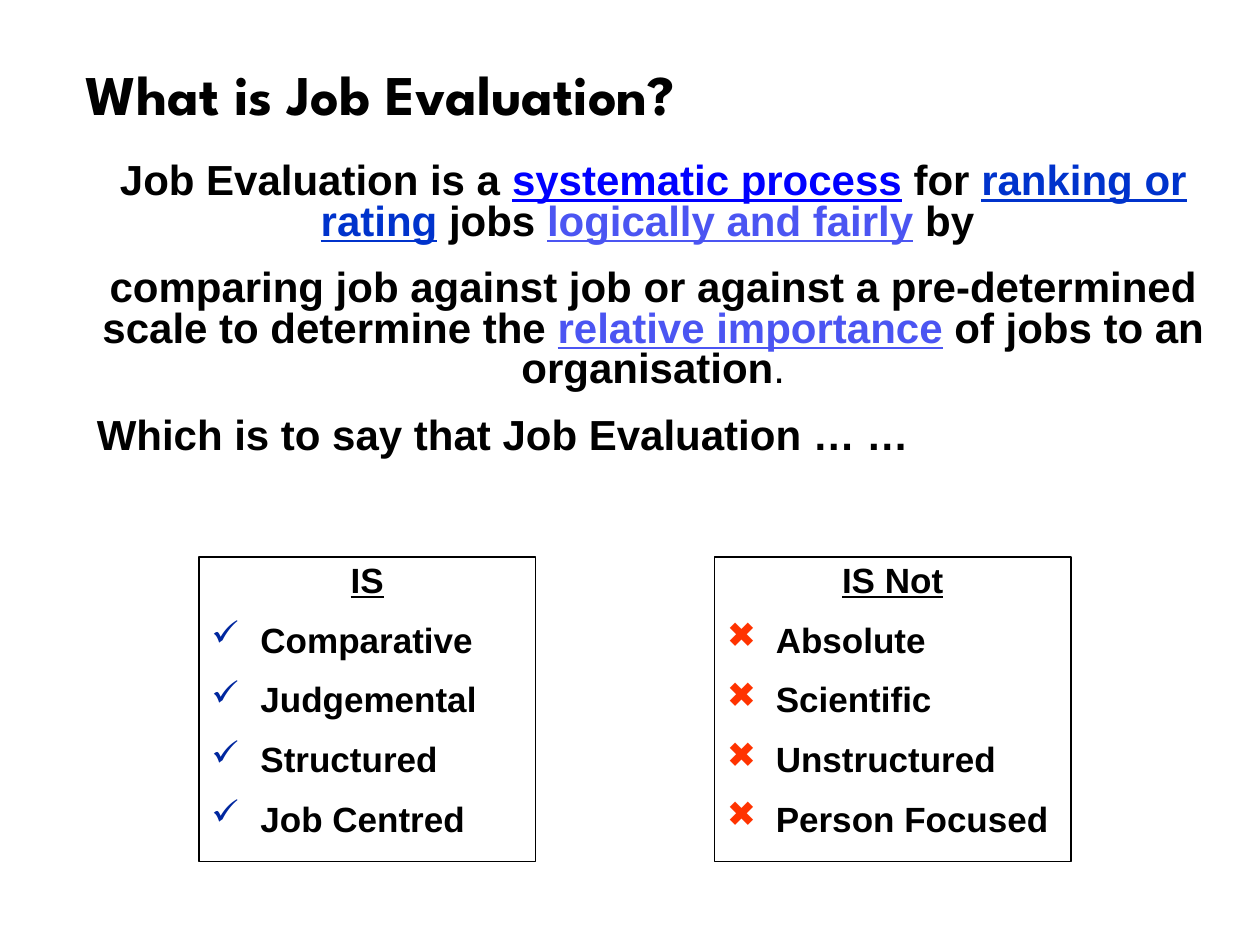
from lxml.etree import SubElement
from pptx import Presentation
from pptx.dml.color import RGBColor
from pptx.enum.shapes import MSO_SHAPE as Shape
from pptx.enum.text import MSO_ANCHOR as Anchor, PP_ALIGN as Align
from pptx.oxml.ns import qn
from pptx.util import Pt

BLACK = "000000"
BLUE, ROYAL, VIOLET = "0000FF", "0033CC", "4B55F2"
STATEMENT = [
    (Align.CENTER, [
        ("Job Evaluation is a ", {}),
        ("systematic process", {"color": BLUE, "underline": True}),
        (" for ", {}),
        ("ranking or rating", {"color": ROYAL, "underline": True}),
        (" jobs ", {}),
        ("logically and fairly", {"color": VIOLET, "underline": True}),
        (" by ", {}),
    ]),
    (Align.CENTER, [
        ("comparing job against job or against a pre-determined scale to determine the ", {}),
        ("relative importance", {"color": VIOLET, "underline": True}),
        (" of jobs to an organisation", {}),
        (".", {"bold": False}),
    ]),
    (Align.LEFT, [("Which is to say that Job Evaluation … …", {})]),
]
LISTS = [
    ((113.76, 318.24, 192.24, 174.24), "IS", "✓", "00279F",
     ["Comparative", "Judgemental", "Structured", "Job Centred"]),
    ((408.24, 318.24, 203.76, 174.24), "IS Not", "✖", "FF3300",
     ["Absolute", "Scientific", "Unstructured", "Person Focused"]),
]


def rgb(value):
    """Turn a hex string into a colour."""
    return RGBColor.from_string(value)


def add_span(para, text, size, name="Arial", color=BLACK, **extra):
    """Append formatted text to a paragraph."""
    span = para.add_run()
    span.text = text
    formats = {"size": Pt(size), "name": name, "bold": True, **extra}
    for key, value in formats.items():
        setattr(span.font, key, value)
    span.font.color.rgb = rgb(color)


def next_para(frame, spacing, gap=0, align=Align.LEFT):
    """Return the first empty paragraph, or add one with a gap above."""
    first = not frame.paragraphs[0].runs
    para = frame.paragraphs[0] if first else frame.add_paragraph()
    formats = {"alignment": align, "line_spacing": spacing,
               "space_before": Pt(0 if first else gap)}
    for key, value in formats.items():
        setattr(para, key, value)
    return para


def set_bullet(para, mark, color, indent):
    """Give a paragraph a coloured bullet and a hanging indent."""
    props = para._p.get_or_add_pPr()
    props.set("marL", str(Pt(indent)))
    props.set("indent", str(-Pt(indent)))
    fill = SubElement(props, qn("a:buClr"))
    SubElement(fill, qn("a:srgbClr")).set("val", color)
    SubElement(props, qn("a:buChar")).set("char", mark)


def prepare_frame(shape, anchor=Anchor.TOP):
    """Wrap the text of a shape and set its anchor."""
    frame = shape.text_frame
    frame.word_wrap = True
    frame.vertical_anchor = anchor
    return frame


def add_title(page, box, text):
    """Place the slide title."""
    frame = prepare_frame(page.shapes.add_textbox(*map(Pt, box)), Anchor.MIDDLE)
    add_span(next_para(frame, 0.9), text, 32, "League Spartan")


def add_statement(page, box, paragraphs):
    """Place the definition with its highlighted phrases."""
    frame = prepare_frame(page.shapes.add_textbox(*map(Pt, box)))
    for align, spans in paragraphs:
        para = next_para(frame, 0.8, 15, align)
        for text, formats in spans:
            add_span(para, text, 24, **formats)


def add_list(page, box, heading, mark, color, items):
    """Place a framed list with an underlined heading."""
    shape = page.shapes.add_shape(Shape.RECTANGLE, *map(Pt, box))
    shape.shadow.inherit = False
    shape.fill.background()
    shape.line.color.rgb = rgb(BLACK)
    shape.line.width = Pt(0.75)
    frame = prepare_frame(shape)
    add_span(next_para(frame, 0.9, align=Align.CENTER), heading, 20, underline=True)
    for item in items:
        para = next_para(frame, 0.9, 12.5)
        set_bullet(para, mark, color, 28)
        add_span(para, item, 20)


def main():
    """Build and save the deck."""
    deck = Presentation()
    deck.slide_width, deck.slide_height = Pt(720), Pt(540)
    page = deck.slides.add_slide(deck.slide_layouts[6])
    add_title(page, (41.76, 12.24, 648, 87.12), "What is Job Evaluation?")
    add_statement(page, (48.24, 90, 650.16, 174.24), STATEMENT)
    for entry in LISTS:
        add_list(page, *entry)
    deck.save("out.pptx")


if __name__ == "__main__":
    main()
